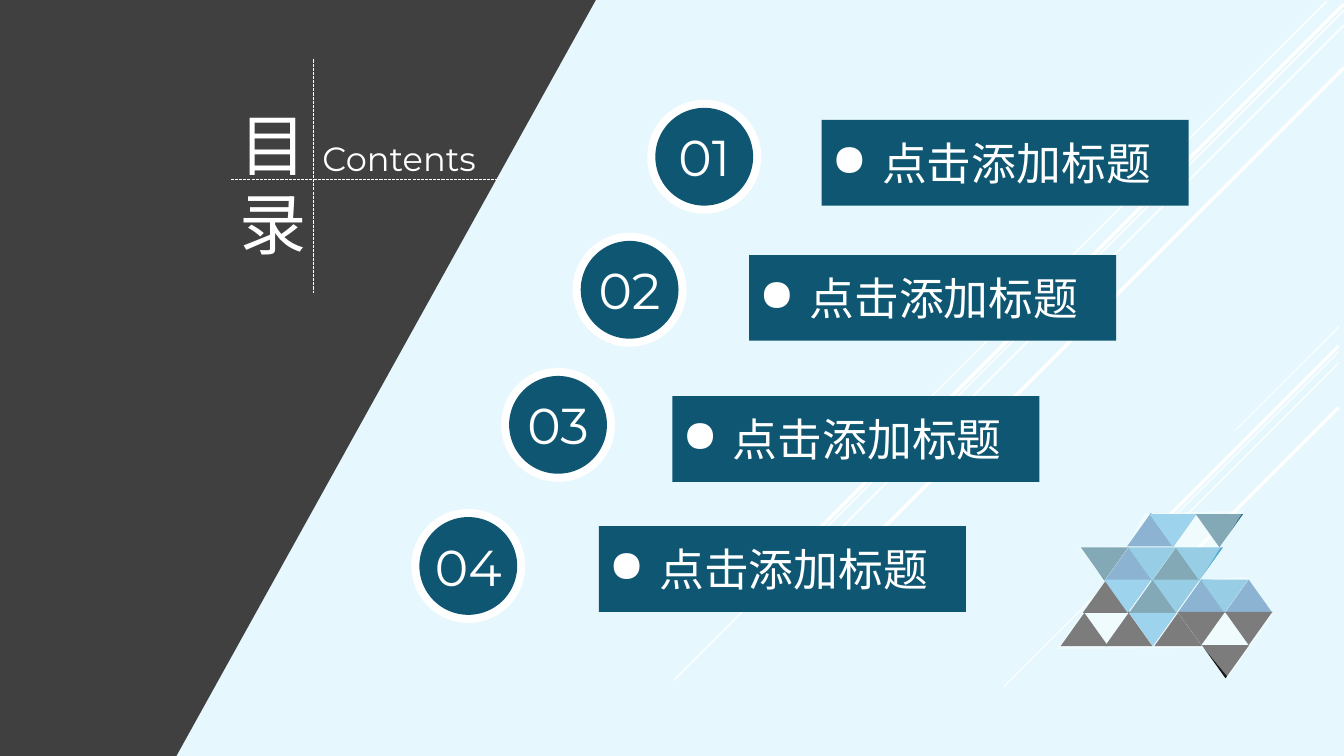
from dataclasses import dataclass

from lxml.etree import SubElement
from pptx import Presentation
from pptx.dml.color import RGBColor
from pptx.enum.dml import MSO_LINE
from pptx.enum.shapes import MSO_CONNECTOR, MSO_SHAPE
from pptx.enum.text import MSO_ANCHOR, MSO_AUTO_SIZE, PP_ALIGN
from pptx.oxml.ns import qn
from pptx.shapes.autoshape import Shape
from pptx.shapes.connector import Connector
from pptx.slide import Slide
from pptx.text.text import _Paragraph as Paragraph
from pptx.util import Inches, Pt

COLORS = {
    "background": "E4F8FD", "panel": "404040", "white": "FFFFFF", "teal": "0E5671",
    "blue": "1F6BA5", "sky": "40ABDB", "azure": "349FCD", "black": "000000",
}
LATIN_FONT = "Montserrat"
TITLE_FONT = "Noto Sans CJK SC"
ITEM_FONT = "Noto Sans CJK JP"

RING_SIZE, DISC_SIZE = 1.13, 0.97
BAR_WIDTH, BAR_HEIGHT = 3.64, 0.85
TILE_WIDTH, TILE_HEIGHT = 0.47, 0.33

Point = tuple[float, float]


@dataclass(frozen=True)
class Ray:
    x: float
    y: float
    run: float
    width: float


@dataclass(frozen=True)
class TileRow:
    top: float
    points_up: bool
    tiles: tuple[tuple[float, str], ...]


@dataclass(frozen=True)
class Item:
    text: str
    ring: Point
    bar: Point


RAYS = [
    Ray(13.28, 3.24, 1.02, 0.75), Ray(13.28, 3.49, 3.32, 0.75),
    Ray(13.28, 3.6, 2.11, 0.75), Ray(13.28, 3.43, 1.95, 2.25),
    Ray(13.28, 4.04, 1.42, 2.25), Ray(13.16, 0.01, 4.16, 1),
    Ray(13.33, 0.1, 6.65, 1), Ray(13.33, 0.25, 5.42, 1),
    Ray(13.33, 0.04, 5.3, 2.5), Ray(13.33, 0.67, 4.75, 2.5),
]
TILE_ROWS = [
    TileRow(5.09, True, ((11.18, "blue"),)),
    TileRow(5.43, True, ((10.96, "blue"), (11.43, "teal"))),
    TileRow(5.75, True, ((10.74, "black"), (11.2, "teal"), (11.68, "blue"), (12.15, "blue"))),
    TileRow(5.1, False, ((11.4, "sky"), (11.86, "teal"))),
    TileRow(5.43, False, ((10.72, "teal"), (11.19, "azure"), (11.66, "azure"))),
    TileRow(5.75, False, ((10.95, "sky"), (11.43, "azure"), (11.91, "azure"))),
    TileRow(6.07, False, ((11.68, "black"), (12.15, "black"))),
    TileRow(6.08, True, ((11.45, "black"),)),
    TileRow(6.4, False, ((11.92, "black"),)),
    TileRow(6.08, False, ((11.2, "sky"),)),
    TileRow(6.08, True, ((10.52, "black"), (10.96, "black"))),
]
VEIL_OUTLINE = [
    (11.18, 5.42), (11.35, 5.1), (12.34, 5.06), (11.9, 5.76), (12.37, 5.72), (12.63, 6.09),
    (12.18, 6.72), (11.94, 6.43), (10.48, 6.44), (10.96, 5.76), (10.7, 5.43),
]
PANEL_OUTLINE = [(0, 0), (5.91, 0), (1.75, 7.5), (0, 7.5)]
ITEMS = [
    Item("点击添加标题", ring=(6.42, 0.99), bar=(8.15, 1.19)),
    Item("点击添加标题", ring=(5.68, 2.31), bar=(7.43, 2.53)),
    Item("点击添加标题", ring=(4.97, 3.65), bar=(6.67, 3.93)),
    Item("点击添加标题", ring=(4.08, 5.05), bar=(5.94, 5.22)),
]


def rgb(name: str) -> RGBColor:
    return RGBColor.from_string(COLORS[name])


def paint(shape: Shape, color: str, opacity: int = 100) -> Shape:
    """Give a plain fill, with opacity in percent, and no line or shadow."""
    shape.shadow.inherit = False
    shape.line.fill.background()
    shape.fill.solid()
    shape.fill.fore_color.rgb = rgb(color)
    if opacity < 100:
        srgb = shape.fill._xPr.find(f"{qn('a:solidFill')}/{qn('a:srgbClr')}")
        SubElement(srgb, qn("a:alpha"), val=str(opacity * 1000))
    return shape


def add_block(slide: Slide, kind: MSO_SHAPE, at: Point, size: Point,
              color: str, opacity: int = 100) -> Shape:
    shape = slide.shapes.add_shape(kind, *map(Inches, at + size))
    return paint(shape, color, opacity)


def add_outline(slide: Slide, points: list[Point], color: str, opacity: int = 100) -> Shape:
    start, *rest = [(Inches(x), Inches(y)) for x, y in points]
    builder = slide.shapes.build_freeform(*start)
    builder.add_line_segments(rest, close=True)
    return paint(builder.convert_to_shape(), color, opacity)


def add_line(slide: Slide, start: Point, end: Point, width: float) -> Connector:
    line = slide.shapes.add_connector(MSO_CONNECTOR.STRAIGHT, *map(Inches, start + end))
    line.line.color.rgb = rgb("white")
    line.line.width = Pt(width)
    SubElement(line._element.spPr, qn("a:effectLst"))
    return line


def add_tile_row(slide: Slide, row: TileRow) -> None:
    bottom = row.top + TILE_HEIGHT
    base, tip = (bottom, row.top) if row.points_up else (row.top, bottom)
    for left, color in row.tiles:
        points = [(left + TILE_WIDTH / 2, tip), (left + TILE_WIDTH, base), (left, base)]
        add_outline(slide, points, color)


def write(shape: Shape, text: str, size: float, font: str, align: PP_ALIGN) -> Paragraph:
    """Set white text in one font for Latin and East Asian letters."""
    shape.text_frame.word_wrap = True
    shape.text_frame.text = text
    paragraph = shape.text_frame.paragraphs[0]
    paragraph.alignment = align
    run_font = paragraph.runs[0].font
    run_font.size = Pt(size)
    run_font.name = font
    run_font.color.rgb = rgb("white")
    SubElement(run_font._element, qn("a:ea"), typeface=font)
    return paragraph


def place_title(slide: Slide) -> None:
    title = slide.shapes.title
    title.left, title.top, title.width, title.height = map(Inches, (1.97, 0.91, 1.47, 1.72))
    paragraph = write(title, "目录", 48, TITLE_FONT, PP_ALIGN.CENTER)
    paragraph.line_spacing = Pt(57)
    frame = title.text_frame
    frame.auto_size = MSO_AUTO_SIZE.NONE
    frame.vertical_anchor = MSO_ANCHOR.TOP
    frame.margin_top = Inches(0.12)
    title.element.getparent().append(title.element)  # in front of the dark panel


def add_item(slide: Slide, number: int, item: Item) -> None:
    add_block(slide, MSO_SHAPE.OVAL, item.ring, (RING_SIZE, RING_SIZE), "white")
    inset = (RING_SIZE - DISC_SIZE) / 2
    disc_at = (item.ring[0] + inset, item.ring[1] + inset)
    disc = add_block(slide, MSO_SHAPE.OVAL, disc_at, (DISC_SIZE, DISC_SIZE), "teal")
    frame = disc.text_frame
    frame.margin_left = frame.margin_top = frame.margin_right = frame.margin_bottom = 0
    frame.vertical_anchor = MSO_ANCHOR.MIDDLE
    write(disc, f"{number:02}", 36, LATIN_FONT, PP_ALIGN.CENTER)

    bar = add_block(slide, MSO_SHAPE.RECTANGLE, item.bar, (BAR_WIDTH, BAR_HEIGHT), "teal")
    bar.text_frame.vertical_anchor = MSO_ANCHOR.MIDDLE
    paragraph = write(bar, item.text, 32, ITEM_FONT, PP_ALIGN.LEFT)
    properties = paragraph._p.get_or_add_pPr()
    properties.set("marL", str(Inches(0.5)))
    properties.set("indent", str(-Inches(0.5)))
    SubElement(properties, qn("a:buChar"), char="●")


def main() -> None:
    presentation = Presentation()
    presentation.slide_width, presentation.slide_height = Inches(13.33), Inches(7.5)
    slide = presentation.slides.add_slide(presentation.slide_layouts[5])
    slide.background.fill.solid()
    slide.background.fill.fore_color.rgb = rgb("background")

    for ray in RAYS:
        add_line(slide, (ray.x, ray.y), (ray.x - ray.run, ray.y + ray.run), ray.width)
    for row in TILE_ROWS:
        add_tile_row(slide, row)
    add_block(slide, MSO_SHAPE.RECTANGLE, (0.03, 0), (13.3, 7.5), "white", opacity=9)
    add_outline(slide, VEIL_OUTLINE, "white", opacity=44)
    add_outline(slide, PANEL_OUTLINE, "panel")

    contents = slide.shapes.add_textbox(*map(Inches, (3.1, 1.32, 1.98, 0.5)))
    write(contents, "Contents", 24, LATIN_FONT, PP_ALIGN.JUSTIFY)
    place_title(slide)
    for start, end in (((2.29, 1.78), (4.95, 1.78)), ((3.11, 0.59), (3.11, 2.91))):
        add_line(slide, start, end, 0.75).line.dash_style = MSO_LINE.SQUARE_DOT
    for number, item in enumerate(ITEMS, start=1):
        add_item(slide, number, item)
    presentation.save("out.pptx")


if __name__ == "__main__":
    main()
